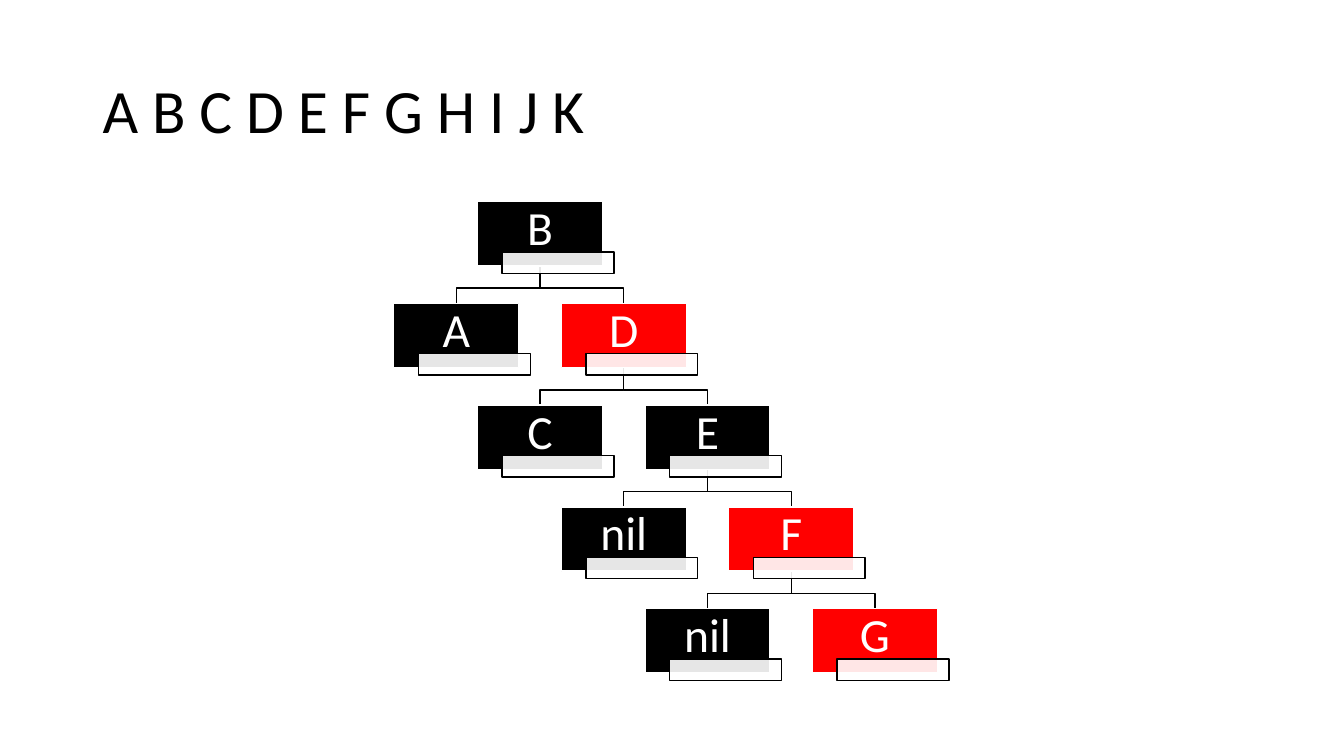
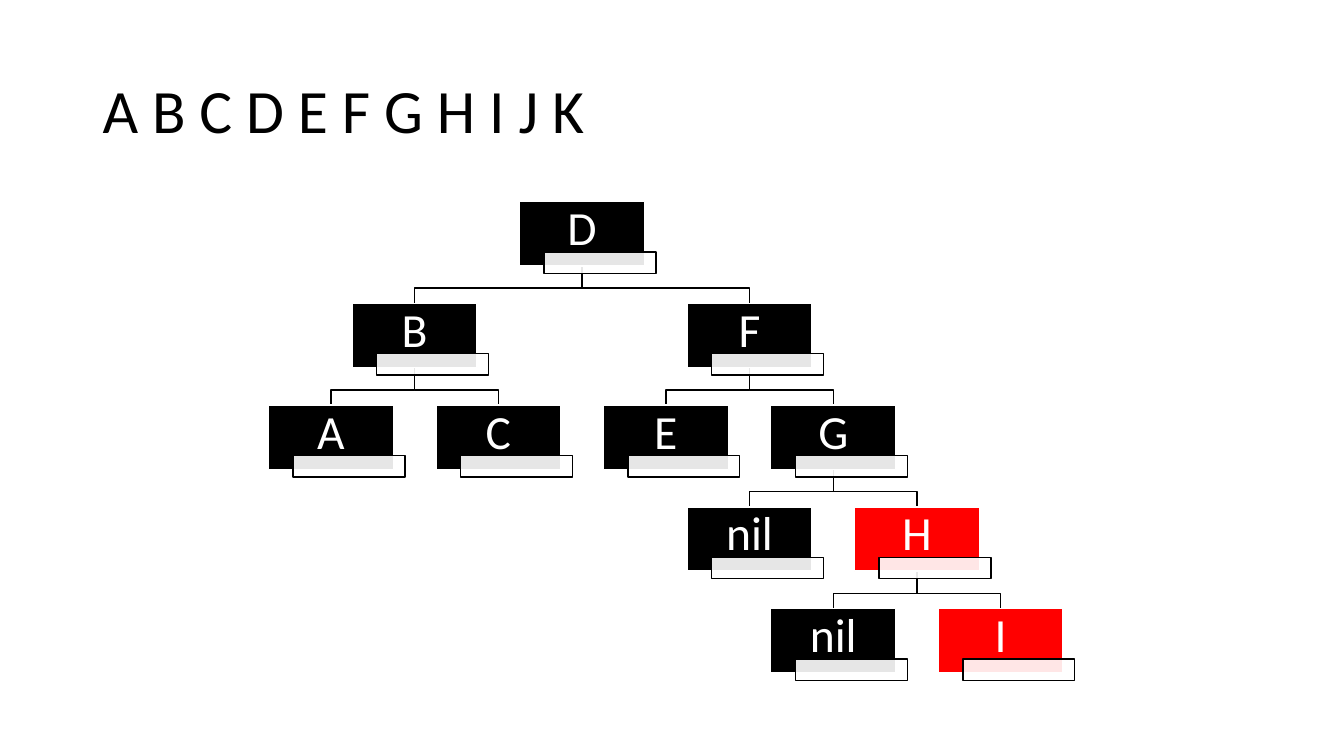
"""Build two slides that show red-black trees growing from a sequence of letters."""
from lxml import etree
from pptx import Presentation
from pptx.dml.color import RGBColor
from pptx.enum.shapes import MSO_SHAPE
from pptx.enum.text import MSO_ANCHOR, PP_ALIGN
from pptx.oxml.ns import qn
from pptx.util import Cm, Pt

RECT = MSO_SHAPE.RECTANGLE
MIDDLE = MSO_ANCHOR.MIDDLE
LEFT, CENTER = PP_ALIGN.LEFT, PP_ALIGN.CENTER

COLORS = {"black": "000000", "red": "FF0000", "white": "FFFFFF"}
FONT = "Calibri"
TITLE = "A B C D E F G H I J K"

TOP = 5.08
COL_STEP, ROW_STEP = 2.11, 2.565
NODE_W, NODE_H = 3.15, 1.62
TAG_DX, TAG_DY, TAG_W, TAG_H = 0.62, 1.27, 2.82, 0.54
BEND = 0.56

# Each node: label, column, row, colour, index of its parent.
TREES = [
    (13.61, [
        ("B", 0, 0, "black", None),
        ("A", -1, 1, "black", 0),
        ("D", 1, 1, "red", 0),
        ("C", 0, 2, "black", 2),
        ("E", 2, 2, "black", 2),
        ("nil", 1, 3, "black", 4),
        ("F", 3, 3, "red", 4),
        ("nil", 2, 4, "black", 6),
        ("G", 4, 4, "red", 6),
    ]),
    (14.67, [
        ("D", 0, 0, "black", None),
        ("B", -2, 1, "black", 0),
        ("F", 2, 1, "black", 0),
        ("A", -3, 2, "black", 1),
        ("C", -1, 2, "black", 1),
        ("E", 1, 2, "black", 2),
        ("G", 3, 2, "black", 2),
        ("nil", 2, 3, "black", 6),
        ("H", 4, 3, "red", 6),
        ("nil", 3, 4, "black", 8),
        ("I", 5, 4, "red", 8),
    ]),
]


def write(shape, text, size, color, align=CENTER):
    tf = shape.text_frame
    tf.word_wrap = True
    tf.vertical_anchor = MIDDLE
    p = tf.paragraphs[0]
    p.alignment = align
    p.line_spacing = 0.9
    r = p.add_run()
    r.text = text
    r.font.name = FONT
    r.font.size = Pt(size)
    r.font.color.rgb = RGBColor.from_string(COLORS[color])
    return tf


def add_box(s, x, y, w, h, fill, line):
    sp = s.shapes.add_shape(RECT, Cm(x), Cm(y), Cm(w), Cm(h))
    sp.shadow.inherit = False
    sp.fill.solid()
    sp.fill.fore_color.rgb = RGBColor.from_string(COLORS[fill])
    sp.line.color.rgb = RGBColor.from_string(COLORS[line])
    sp.line.width = Pt(1)
    return sp


prs = Presentation()
prs.slide_width, prs.slide_height = Cm(33.87), Cm(19.05)

for root_x, nodes in TREES:
    s = prs.slides.add_slide(prs.slide_layouts[5])
    title = s.shapes.title
    title.left, title.top, title.width, title.height = Cm(2.33), Cm(1.01), Cm(29.21), Cm(3.68)
    write(title, TITLE, size=44, color="black", align=LEFT)

    centers = [(root_x + col * COL_STEP, TOP + row * ROW_STEP) for _, col, row, _, _ in nodes]

    for (x, y), (_, _, _, _, parent) in zip(centers, nodes):
        if parent is None:
            continue
        parent_x, parent_y = centers[parent]
        start_y = parent_y + NODE_H
        bend_y = start_y + BEND
        fb = s.shapes.build_freeform(Cm(parent_x), Cm(start_y))
        fb.add_line_segments(
            [(Cm(parent_x), Cm(bend_y)), (Cm(x), Cm(bend_y)), (Cm(x), Cm(y))], close=False)
        branch = fb.convert_to_shape()
        branch.shadow.inherit = False
        branch.fill.background()
        branch.line.color.rgb = RGBColor.from_string(COLORS["black"])
        branch.line.width = Pt(1)

    for (x, y), (label, _, _, color, _) in zip(centers, nodes):
        left = x - NODE_W / 2
        node = add_box(s, left, y, NODE_W, NODE_H, fill=color, line="white")
        tf = write(node, label, size=34, color="white")
        tf.margin_left = tf.margin_right = tf.margin_top = Cm(0.05)
        tf.margin_bottom = Cm(0.23)
        tag = add_box(s, left + TAG_DX, y + TAG_DY, TAG_W, TAG_H, fill="white", line="black")
        fill_color = tag.element.spPr.find(qn("a:solidFill")).find(qn("a:srgbClr"))
        etree.SubElement(fill_color, qn("a:alpha")).set("val", "90000")

prs.save("out.pptx")
